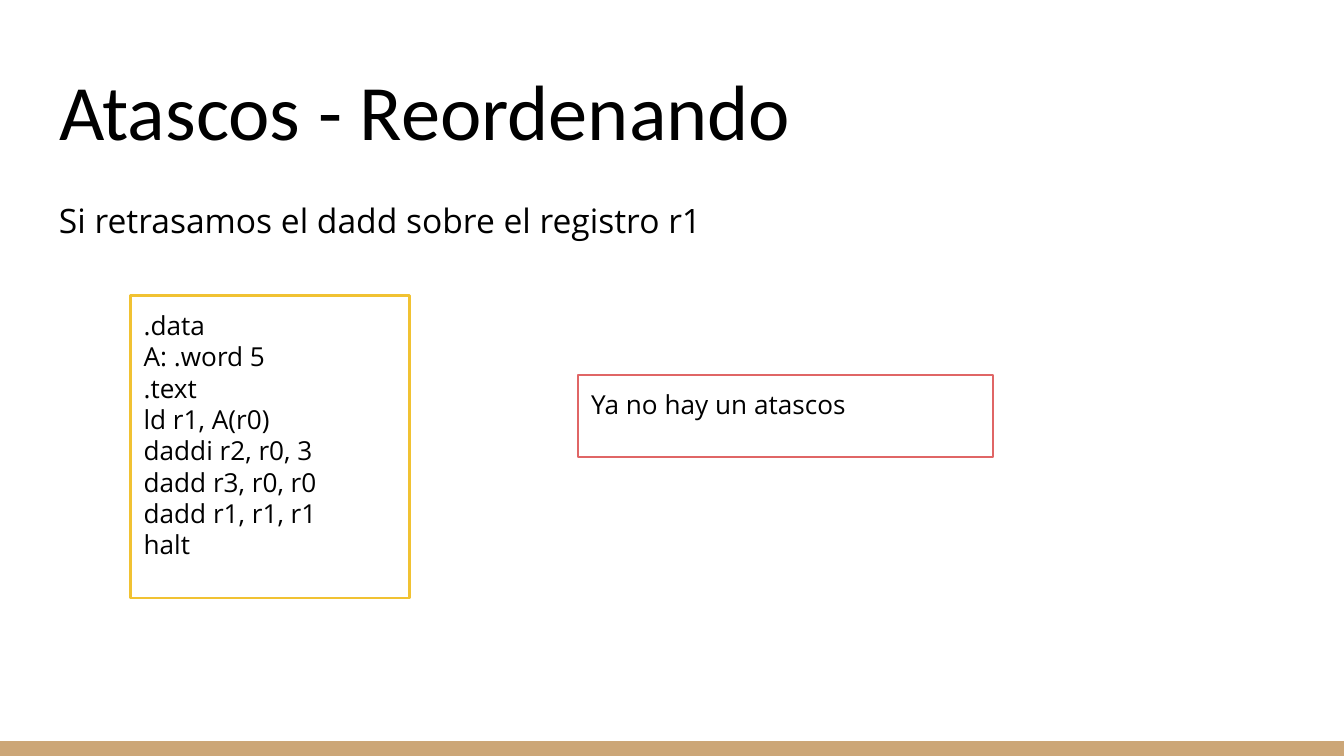
import pptx
import pptx.util
import pptx.dml.color
import pptx.enum.shapes
import pptx.enum.text

RGBColor = pptx.dml.color.RGBColor
BLACK = RGBColor(0x00, 0x00, 0x00)
TAN = RGBColor(0xCC, 0xA6, 0x77)
YELLOW = RGBColor(0xF1, 0xC2, 0x32)
RED = RGBColor(0xE0, 0x66, 0x66)

WIDTH = 10
HEIGHT = WIDTH * 9 / 16
MARGIN = 0.34
INSET = 0.1

CODE = [".data", "A: .word 5", ".text", "ld r1, A(r0)", "daddi r2, r0, 3",
        "dadd r3, r0, r0", "dadd r1, r1, r1", "halt"]


def place(sp, box):
    sp.left, sp.top, sp.width, sp.height = map(pptx.util.Inches, box)


def write(sp, lines, size, font="Open Sans", anchor="TOP", spacing=None, after=0):
    tf = sp.text_frame
    tf.word_wrap = True
    tf.auto_size = pptx.enum.text.MSO_AUTO_SIZE.NONE
    tf.vertical_anchor = getattr(pptx.enum.text.MSO_ANCHOR, anchor)
    for side in ("left", "top", "right", "bottom"):
        setattr(tf, f"margin_{side}", pptx.util.Inches(INSET))
    for i, line in enumerate(lines):
        p = tf.paragraphs[0] if i == 0 else tf.add_paragraph()
        p.alignment = pptx.enum.text.PP_ALIGN.LEFT
        p.line_spacing = spacing
        p.space_after = pptx.util.Pt(after)
        r = p.add_run()
        r.text = line
        r.font.name = font
        r.font.size = pptx.util.Pt(size)
        r.font.color.rgb = BLACK


def add_rect(s, box, fill=None, line=None, weight=0.75):
    sp = s.shapes.add_shape(pptx.enum.shapes.MSO_SHAPE.RECTANGLE,
                            *map(pptx.util.Inches, box))
    sp.shadow.inherit = False
    if fill is None:
        sp.fill.background()
    else:
        sp.fill.solid()
        sp.fill.fore_color.rgb = fill
    if line is None:
        sp.line.fill.background()
    else:
        sp.line.color.rgb = line
        sp.line.width = pptx.util.Pt(weight)
    return sp


def add_footer_bar(s, height):
    add_rect(s, (0, HEIGHT - height, WIDTH, height), fill=TAN)


def add_heading(s, box, title, intro):
    left, top, width, height = box
    title_height, body_top = 0.91, 0.99
    place(s.shapes.title, (left, top, width, title_height))
    write(s.shapes.title, [title], 42, font="Calibri", anchor="BOTTOM")
    body = (left, top + body_top, width, height - body_top)
    sp = s.shapes.add_textbox(*map(pptx.util.Inches, body))
    write(sp, [intro], 18, spacing=1.15, after=16)


def add_example(s, box, code, note):
    left, top, width, height = box
    code_width, note_width, note_height, drop = 2.08, 3.09, 0.61, 0.59
    code_box = (left, top, code_width, height)
    note_box = (left + width - note_width, top + drop, note_width, note_height)
    write(add_rect(s, code_box, line=YELLOW, weight=1.5), code, 14)
    write(add_rect(s, note_box, line=RED), [note], 14)


def main():
    prs = pptx.Presentation()
    prs.slide_width = pptx.util.Inches(WIDTH)
    prs.slide_height = pptx.util.Inches(HEIGHT)
    s = prs.slides.add_slide(prs.slide_layouts[5])
    add_footer_bar(s, 0.11)
    add_heading(s, (MARGIN, 0.35, WIDTH - 2 * MARGIN, 4.66),
                "Atascos - Reordenando",
                "Si retrasamos el dadd sobre el registro r1")
    add_example(s, (0.97, 2.2, 6.42, 2.25), CODE, "Ya no hay un atascos")
    prs.save("out.pptx")


if __name__ == "__main__":
    main()
